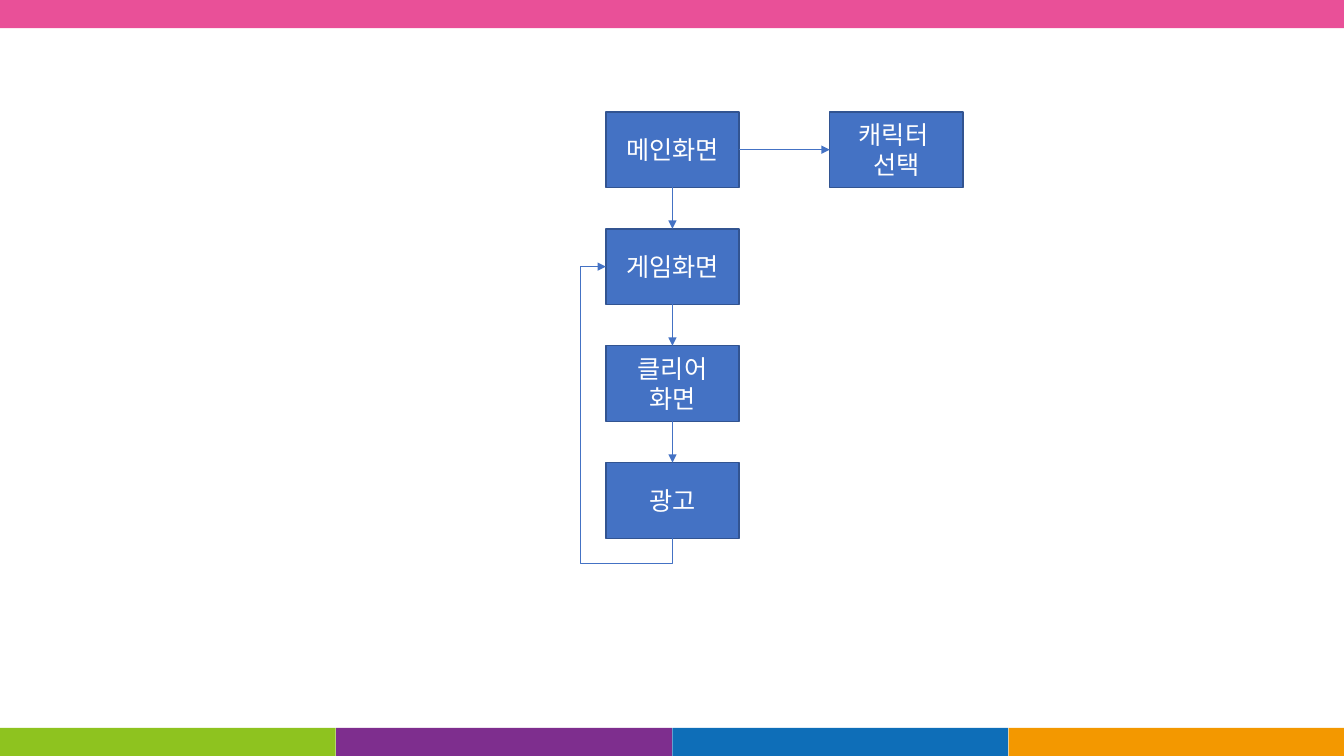
from lxml import etree
from pptx import Presentation
from pptx.dml.color import RGBColor
from pptx.enum.shapes import MSO_CONNECTOR, MSO_SHAPE
from pptx.enum.text import MSO_ANCHOR, PP_ALIGN
from pptx.oxml.ns import qn
from pptx.util import Inches, Pt

RECTANGLE = MSO_SHAPE.RECTANGLE
STRAIGHT, ELBOW = MSO_CONNECTOR.STRAIGHT, MSO_CONNECTOR.ELBOW
MIDDLE, CENTER = MSO_ANCHOR.MIDDLE, PP_ALIGN.CENTER
TOP, LEFT, BOTTOM, RIGHT = range(4)

FONT = "Noto Sans CJK KR"
COLORS = {
    "pink": "E95098",
    "green": "8EC31F",
    "purple": "7E2E8E",
    "blue": "0E6EB8",
    "orange": "F39800",
    "box": "4472C4",
    "edge": "325491",
    "text": "FFFFFF",
}
PAGE_WIDTH, PAGE_HEIGHT = 13.33, 7.5
BAND_HEIGHT = 0.28
BOX_WIDTH, BOX_HEIGHT = 1.32, 0.75
ROW_STEP, COLUMN_STEP = 1.16, 2.22
LOOP_MARGIN = 0.25


def color(name):
    return RGBColor.from_string(COLORS[name])


def add_rectangle(page, left, top, width, height, fill, edge=None):
    box = page.shapes.add_shape(
        RECTANGLE, Inches(left), Inches(top), Inches(width), Inches(height))
    box.shadow.inherit = False
    box.fill.solid()
    box.fill.fore_color.rgb = color(fill)
    if edge:
        box.line.color.rgb = color(edge)
        box.line.width = Pt(1)
    else:
        box.line.fill.background()
    return box


def write_text(box, text, size=18, ink="text", align=CENTER, anchor=MIDDLE):
    """Fill the box with one paragraph for each line of text."""
    frame = box.text_frame
    frame.word_wrap = True
    frame.vertical_anchor = anchor
    for index, line in enumerate(text.split("\n")):
        para = frame.add_paragraph() if index else frame.paragraphs[0]
        para.alignment = align
        span = para.add_run()
        span.text = line
        span.font.name = FONT
        span.font.size = Pt(size)
        span.font.color.rgb = color(ink)
        etree.SubElement(span.font._element, qn("a:ea"), typeface=FONT)


def add_step(page, left, top, text):
    box = add_rectangle(page, left, top, BOX_WIDTH, BOX_HEIGHT, "box", "edge")
    write_text(box, text)
    return box


def add_arrow(page, start, start_side, end, end_side, kind=STRAIGHT):
    arrow = page.shapes.add_connector(kind, 0, 0, 0, 0)
    arrow.begin_connect(start, start_side)
    arrow.end_connect(end, end_side)
    arrow.line.color.rgb = color("box")
    arrow.line.width = Pt(0.5)
    etree.SubElement(arrow.line._get_or_add_ln(), qn("a:tailEnd"), type="triangle")
    etree.SubElement(arrow._element.spPr, qn("a:effectLst"))
    return arrow


def add_loop(page, start, end):
    """Lead from the bottom of start around to the left side of end."""
    loop = add_arrow(page, start, BOTTOM, end, LEFT, ELBOW)
    across, down = loop.width, loop.height
    center_x, center_y = loop.left + across // 2, loop.top + down // 2
    # The preset lies on its side: its width runs down the page.
    loop.left, loop.top = center_x - down // 2, center_y - across // 2
    loop.width, loop.height = down, across
    frame = loop._element.spPr.find(qn("a:xfrm"))
    for key, value in {"rot": "5400000", "flipH": "1", "flipV": "0"}.items():
        frame.set(key, value)
    geometry = loop._element.spPr.find(qn("a:prstGeom"))
    geometry.set("prst", "bentConnector4")
    guides = geometry.find(qn("a:avLst"))
    if guides is None:
        guides = etree.SubElement(geometry, qn("a:avLst"))
    margin = Inches(LOOP_MARGIN)
    bends = {"adj1": -margin / down, "adj2": 1 + margin / across}
    for name, share in bends.items():
        etree.SubElement(guides, qn("a:gd"), name=name,
                         fmla=f"val {round(share * 100000)}")


def add_bands(page, width, height):
    add_rectangle(page, 0, 0, width, BAND_HEIGHT, "pink")
    names = ("green", "purple", "blue", "orange")
    step = (width + 0.01) / len(names)
    for index, name in enumerate(names):
        add_rectangle(page, index * step, height - BAND_HEIGHT,
                      3.33, BAND_HEIGHT, name)


def add_screen_flow(page, left, top):
    labels = ("메인화면", "게임화면", "클리어\n화면", "광고")
    steps = [add_step(page, left, top + row * ROW_STEP, label)
             for row, label in enumerate(labels)]
    character = add_step(page, left + COLUMN_STEP, top, "캐릭터 \n선택")
    for upper, lower in zip(steps, steps[1:]):
        add_arrow(page, upper, BOTTOM, lower, TOP)
    main, game, _, advert = steps
    add_arrow(page, main, RIGHT, character, LEFT)
    add_loop(page, advert, game)


def main():
    deck = Presentation()
    deck.slide_width, deck.slide_height = Inches(PAGE_WIDTH), Inches(PAGE_HEIGHT)
    page = deck.slides.add_slide(deck.slide_layouts[6])
    add_bands(page, PAGE_WIDTH, PAGE_HEIGHT)
    add_screen_flow(page, 6.01, 1.11)
    deck.save("out.pptx")


if __name__ == "__main__":
    main()
